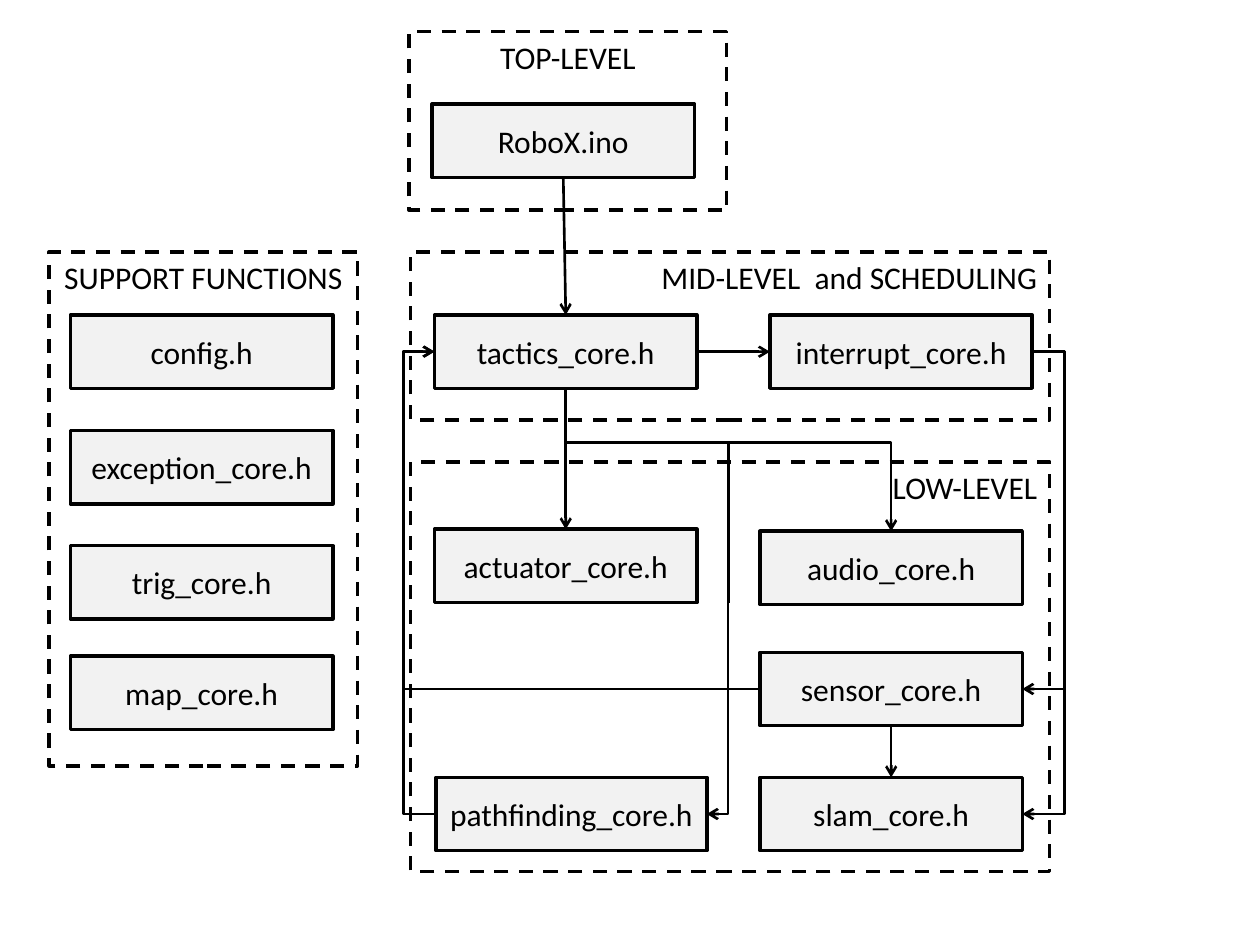
import pptx
import pptx.dml.color
import pptx.enum.dml
import pptx.enum.shapes
import pptx.enum.text
import pptx.oxml
import pptx.oxml.ns
import pptx.shapes.autoshape
import pptx.util
from pptx.util import Cm

COLORS = {"ink": "000000", "module": "F2F2F2"}
ALIGN = pptx.enum.text.PP_ALIGN
ANCHOR = pptx.enum.text.MSO_ANCHOR
MODULE_WIDTH, MODULE_HEIGHT = 5.29, 1.48
TOP, LEFT, BOTTOM, RIGHT = range(4)


def rgb(name):
    return pptx.dml.color.RGBColor.from_string(COLORS[name])


def write_text(shape, text, align=ALIGN.CENTER, anchor=ANCHOR.MIDDLE, size=18, wrap=True):
    frame = shape.text_frame
    frame.word_wrap = wrap
    frame.vertical_anchor = anchor
    paragraph = frame.paragraphs[0]
    paragraph.alignment = align
    run = paragraph.add_run()
    run.text = text
    run.font.name = "Calibri"
    run.font.size = pptx.util.Pt(size)
    run.font.color.rgb = rgb("ink")


def add_box(slide, x, y, width, height):
    shape = slide.shapes.add_shape(
        pptx.enum.shapes.MSO_SHAPE.RECTANGLE, Cm(x), Cm(y), Cm(width), Cm(height)
    )
    shape.shadow.inherit = False
    shape.line.color.rgb = rgb("ink")
    shape.line.width = pptx.util.Pt(2)
    return shape


def add_module(slide, x, y, text, width=MODULE_WIDTH):
    shape = add_box(slide, x, y, width, MODULE_HEIGHT)
    shape.fill.solid()
    shape.fill.fore_color.rgb = rgb("module")
    write_text(shape, text, wrap=False)
    return shape


def add_frame(slide, box, title, align):
    frame = add_box(slide, *box)
    frame.fill.background()
    frame.line.dash_style = pptx.enum.dml.MSO_LINE.DASH
    write_text(frame, title, align=align, anchor=ANCHOR.TOP)


def add_support(slide, box):
    x, y = box[:2]
    add_frame(slide, box, "SUPPORT FUNCTIONS", ALIGN.CENTER)
    names = ("config.h", "exception_core.h", "trig_core.h", "map_core.h")
    for name, offset in zip(names, (1.27, 3.6, 5.92, 8.15)):
        add_module(slide, x + 0.43, y + offset, name)


def add_top_level(slide, box):
    x, y = box[:2]
    add_frame(slide, box, "TOP-LEVEL", ALIGN.CENTER)
    return {"main": add_module(slide, x + 0.46, y + 1.46, "RoboX.ino")}


def add_mid_level(slide, box):
    x, y = box[:2]
    add_frame(slide, box, "MID-LEVEL  and SCHEDULING", ALIGN.RIGHT)
    return {
        "tactics": add_module(slide, x + 0.48, y + 1.27, "tactics_core.h"),
        "interrupt": add_module(slide, x + 7.24, y + 1.27, "interrupt_core.h"),
    }


def add_low_level(slide, box):
    x, y = box[:2]
    add_frame(slide, box, "LOW-LEVEL", ALIGN.RIGHT)
    right = x + 7.04
    return {
        "actuator": add_module(slide, x + 0.48, y + 1.36, "actuator_core.h"),
        "audio": add_module(slide, right, y + 1.4, "audio_core.h"),
        "sensor": add_module(slide, right, y + 3.84, "sensor_core.h"),
        "slam": add_module(slide, right, y + 6.36, "slam_core.h"),
        "pathfinding": add_module(slide, x + 0.51, y + 6.36, "pathfinding_core.h", width=5.46),
    }


def is_glued(end):
    return isinstance(end[0], pptx.shapes.autoshape.Shape)


def locate(end):
    if not is_glued(end):
        return end
    shape, site = end
    center, middle = shape.left + shape.width // 2, shape.top + shape.height // 2
    return {
        TOP: (center, shape.top),
        LEFT: (shape.left, middle),
        BOTTOM: (center, shape.top + shape.height),
        RIGHT: (shape.left + shape.width, middle),
    }[site]


def turn_downward(connector):
    width, height = connector.width, connector.height
    connector.left += (width - height) // 2
    connector.top += (height - width) // 2
    connector.width, connector.height = height, width
    transform = connector._element.spPr.find(pptx.oxml.ns.qn("a:xfrm"))
    transform.set("rot", "16200000")
    transform.set("flipH", "1")


def add_link(slide, start, end, bend=None, downward=False, arrow=True):
    kinds = pptx.enum.shapes.MSO_CONNECTOR
    kind = kinds.STRAIGHT if bend is None else kinds.ELBOW
    first, last = locate(start), locate(end)
    connector = slide.shapes.add_connector(kind, *first, *last)
    if is_glued(start):
        connector.begin_connect(*start)
    if is_glued(end):
        connector.end_connect(*end)
    connector.line.color.rgb = rgb("ink")
    connector.line.width = pptx.util.Pt(1.5)
    properties = connector._element.spPr
    namespace = pptx.oxml.ns.nsdecls("a")
    if bend is not None:
        axis = 1 if downward else 0
        ratio = (bend - first[axis]) / (last[axis] - first[axis])
        guides = properties.find(pptx.oxml.ns.qn("a:prstGeom")).get_or_add_avLst()
        guides.append(pptx.oxml.parse_xml(
            f'<a:gd {namespace} name="adj1" fmla="val {round(ratio * 100000)}"/>'
        ))
    if downward:
        turn_downward(connector)
    if arrow:
        line = properties.find(pptx.oxml.ns.qn("a:ln"))
        line.append(pptx.oxml.parse_xml(f'<a:tailEnd {namespace} type="arrow"/>'))
    properties.append(pptx.oxml.parse_xml(f"<a:effectLst {namespace}/>"))


def add_flows(slide, modules, box):
    x, y, width, height = box
    left_bus, right_bus = Cm(x - 0.15), Cm(x + width + 0.3)
    branch, riser = Cm(y + height + 0.45), Cm(x + width / 2 - 0.04)
    tactics, interrupt = modules["tactics"], modules["interrupt"]
    sensor, slam = modules["sensor"], modules["slam"]
    pathfinding, actuator = modules["pathfinding"], modules["actuator"]

    add_link(slide, (modules["main"], BOTTOM), (tactics, TOP))
    add_link(slide, (tactics, RIGHT), (interrupt, LEFT))
    add_link(slide, (tactics, BOTTOM), (actuator, TOP))
    add_link(slide, (sensor, BOTTOM), (slam, TOP))
    for source in (sensor, pathfinding):
        add_link(slide, (source, LEFT), (tactics, LEFT), bend=left_bus)
    for target in (sensor, slam):
        add_link(slide, (interrupt, RIGHT), (target, RIGHT), bend=right_bus)
    add_link(slide, (tactics, BOTTOM), (modules["audio"], TOP), bend=branch, downward=True)

    upper = (riser, actuator.top)
    lower = (riser, actuator.top + actuator.height)
    add_link(slide, (tactics, BOTTOM), upper, bend=branch, downward=True, arrow=False)
    add_link(slide, upper, lower, arrow=False)
    add_link(slide, lower, (pathfinding, RIGHT), bend=riser)


def main():
    presentation = pptx.Presentation()
    presentation.slide_width, presentation.slide_height = Cm(25.4), Cm(19.05)
    slide = presentation.slides.add_slide(presentation.slide_layouts[6])
    mid_box = (8.28, 5.08, 12.88, 3.39)
    add_support(slide, (0.99, 5.08, 6.22, 10.36))
    modules = {
        **add_top_level(slide, (8.25, 0.64, 6.4, 3.6)),
        **add_mid_level(slide, mid_box),
        **add_low_level(slide, (8.28, 9.31, 12.88, 8.26)),
    }
    add_flows(slide, modules, mid_box)
    presentation.save("out.pptx")


if __name__ == "__main__":
    main()
